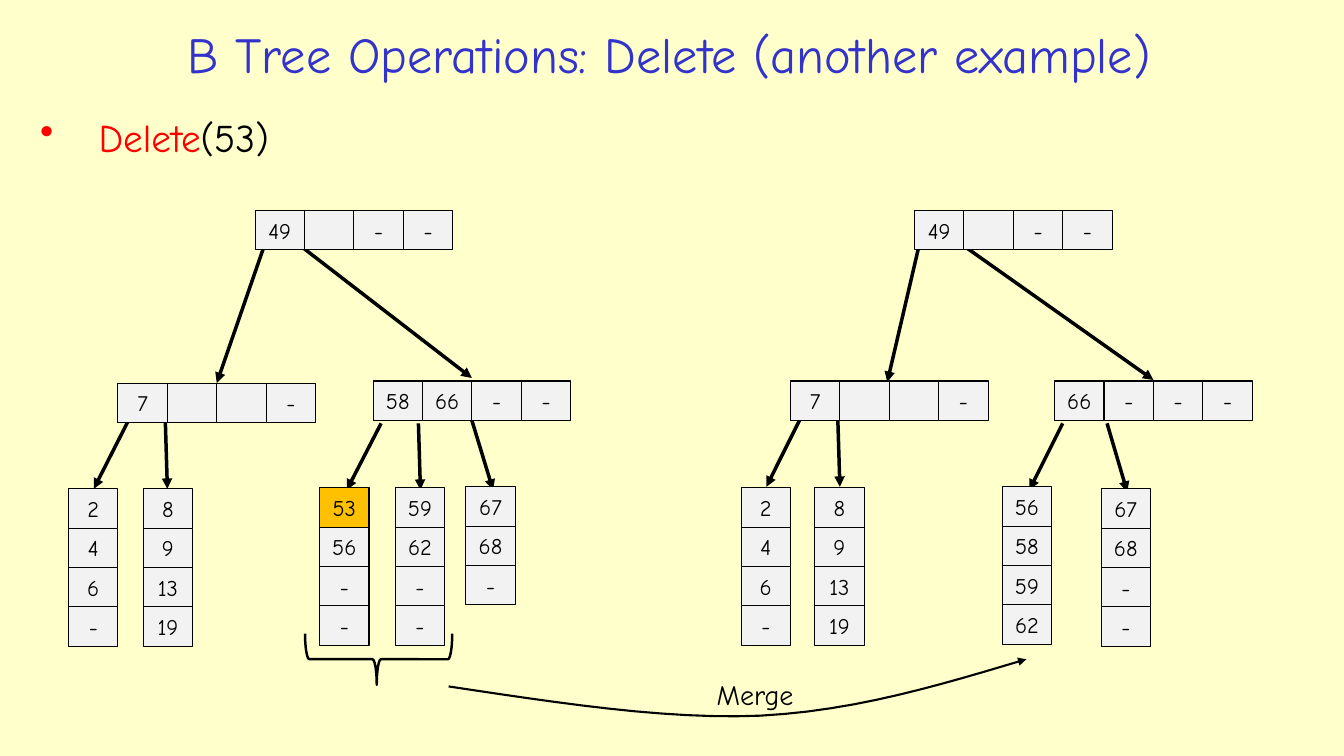
from dataclasses import dataclass

from lxml import etree
from pptx import Presentation
from pptx.dml.color import RGBColor
from pptx.enum.shapes import MSO_CONNECTOR, MSO_SHAPE
from pptx.enum.text import MSO_ANCHOR, MSO_AUTO_SIZE, PP_ALIGN
from pptx.oxml.ns import qn
from pptx.util import Emu, Pt

RECT = MSO_SHAPE.RECTANGLE
BRACE = MSO_SHAPE.RIGHT_BRACE
STRAIGHT = MSO_CONNECTOR.STRAIGHT
CENTER = PP_ALIGN.CENTER
LEFT = PP_ALIGN.LEFT
MIDDLE = MSO_ANCHOR.MIDDLE
TOP = MSO_ANCHOR.TOP
FIT = MSO_AUTO_SIZE.SHAPE_TO_FIT_TEXT

SCALE = 9144  # 100 px to the inch
CELL_W, CELL_H = 49, 39


@dataclass(frozen=True)
class Theme:
    font: str = "Comic Neue"
    back: str = "FFFFCC"
    title: str = "3333CC"
    accent: str = "FF0000"
    ink: str = "000000"
    cell: str = "F2F2F2"
    mark: str = "FFC000"
    title_size: int = 36
    body_size: int = 28
    note_size: int = 20
    key_size: int = 16
    thin: float = 0.75
    curve: float = 1.5
    brace: float = 1.75
    thick: float = 2.5


THEME = Theme()

# Nodes: left, top, keys; an empty key is an unused slot
ROWS = [
    (253, 209, ["49", "", "-", "-"]),
    (117, 380, ["7", "", "", "-"]),
    (370, 378, ["58", "66", "-", "-"]),
    (907, 209, ["49", "", "-", "-"]),
    (784, 378, ["7", "", "", "-"]),
    (1046, 378, ["66", "-", "-", "-"]),
]
LEAVES = [
    (68, 485, ["2", "4", "6", "-"]),
    (142, 485, ["8", "9", "13", "19"]),
    (317, 484, ["53", "56", "-", "-"]),
    (392, 484, ["59", "62", "-", "-"]),
    (462, 483, ["67", "68", "-"]),
    (735, 484, ["2", "4", "6", "-"]),
    (808, 484, ["8", "9", "13", "19"]),
    (994, 483, ["56", "58", "59", "62"]),
    (1092, 485, ["67", "68", "-", "-"]),
]
LINKS = [
    (261, 247, 215, 380), (302, 247, 468, 375),
    (127, 418, 93, 485), (164, 418, 166, 485),
    (378, 420, 344, 486), (415, 420, 417, 486), (468, 417, 489, 486),
    (911, 246, 880, 379), (956, 244, 1144, 377),
    (793, 417, 760, 483), (831, 417, 833, 483),
    (1054, 420, 1021, 486), (1098, 420, 1118, 488),
]
# Cubic pieces of the merge arrow
CURVE = [
    ((445, 681), (552, 697), (659, 714), (754, 710)),
    ((754, 710), (850, 705), (934, 679), (1018, 654)),
]


def px(*values):
    return [Emu(round(v * SCALE)) for v in values]


def rgb(code):
    return RGBColor.from_string(code)


def set_font(font, size, color):
    font.name = THEME.font
    font.size = Pt(size)
    font.color.rgb = rgb(color)


def set_line(shape, width, arrow=False):
    shape.line.color.rgb = rgb(THEME.ink)
    shape.line.width = Pt(width)
    if arrow:
        ln = shape.element.spPr.get_or_add_ln()
        etree.SubElement(ln, qn("a:tailEnd"), type="triangle")


def add_text(slide, box, text, size, color, align=LEFT, anchor=TOP, wrap=True):
    frame = slide.shapes.add_textbox(*px(*box)).text_frame
    frame.word_wrap = wrap
    frame.vertical_anchor = anchor
    para = frame.paragraphs[0]
    para.text = text
    para.alignment = align
    set_font(para.font, size, color)
    return frame


def add_call(slide, box, name, args):
    frame = slide.shapes.add_textbox(*px(*box)).text_frame
    frame.word_wrap = True
    para = frame.paragraphs[0]
    props = para._p.get_or_add_pPr()
    props.set("marL", str(58 * SCALE))
    props.set("indent", str(-58 * SCALE))
    etree.SubElement(props, qn("a:buChar"), char="•")
    for text, color in ((name, THEME.accent), (args, THEME.ink)):
        run = para.add_run()
        run.text = text
        set_font(run.font, THEME.body_size, color)


def add_cell(slide, x, y, key):
    cell = slide.shapes.add_shape(RECT, *px(x, y, CELL_W, CELL_H))
    cell.shadow.inherit = False
    cell.fill.solid()
    cell.fill.fore_color.rgb = rgb(THEME.mark if key == "53" else THEME.cell)
    set_line(cell, THEME.thin)
    if key:
        frame = cell.text_frame
        frame.word_wrap = False
        frame.vertical_anchor = MIDDLE
        para = frame.paragraphs[0]
        para.text = key
        para.alignment = CENTER
        set_font(para.font, THEME.key_size, THEME.ink)


def add_node(slide, x, y, keys, dx=0, dy=0):
    for i, key in enumerate(keys):
        add_cell(slide, x + i * dx, y + i * dy, key)


def add_link(slide, *ends):
    link = slide.shapes.add_connector(STRAIGHT, *px(*ends))
    set_line(link, THEME.thick, arrow=True)
    etree.SubElement(link.element.spPr, qn("a:effectLst"))


def add_brace(slide, box):
    brace = slide.shapes.add_shape(BRACE, *px(*box))
    brace.rotation = 90
    brace.adjustments[0] = 0.083
    brace.adjustments[1] = 0.513
    brace.shadow.inherit = False
    brace.fill.background()
    set_line(brace, THEME.brace)


def cubic(a, b, c, d, t):
    s = 1 - t
    return px(*(s**3 * p + 3 * s * s * t * q + 3 * s * t * t * u + t**3 * v
                for p, q, u, v in zip(a, b, c, d)))


def add_curve(slide, parts, steps=12):
    points = [cubic(*part, i / steps) for part in parts for i in range(1, steps + 1)]
    pen = slide.shapes.build_freeform(*px(*parts[0][0]))
    pen.add_line_segments(points, close=False)
    curve = pen.convert_to_shape()
    curve.shadow.inherit = False
    curve.fill.background()
    set_line(curve, THEME.curve, arrow=True)


def main():
    deck = Presentation()
    deck.slide_width, deck.slide_height = px(1333, 750)
    slide = deck.slides.add_slide(deck.slide_layouts[6])
    slide.background.fill.solid()
    slide.background.fill.fore_color.rgb = rgb(THEME.back)

    # Heading
    add_text(slide, (97, 15, 1133, 76), "B Tree Operations: Delete (another example)",
             THEME.title_size, THEME.title, CENTER, MIDDLE)
    add_call(slide, (30, 107, 1267, 69), "Delete", "(53)")

    # Trees before and after
    for link in LINKS:
        add_link(slide, *link)
    for row in ROWS:
        add_node(slide, *row, dx=CELL_W)
    for leaf in LEAVES:
        add_node(slide, *leaf, dy=CELL_H)

    # Merge step
    add_brace(slide, (350, 581, 51, 146))
    add_curve(slide, CURVE)
    note = add_text(slide, (701, 667, 104, 44), "Merge",
                    THEME.note_size, THEME.ink, wrap=False)
    note.auto_size = FIT

    deck.save("out.pptx")


if __name__ == "__main__":
    main()
